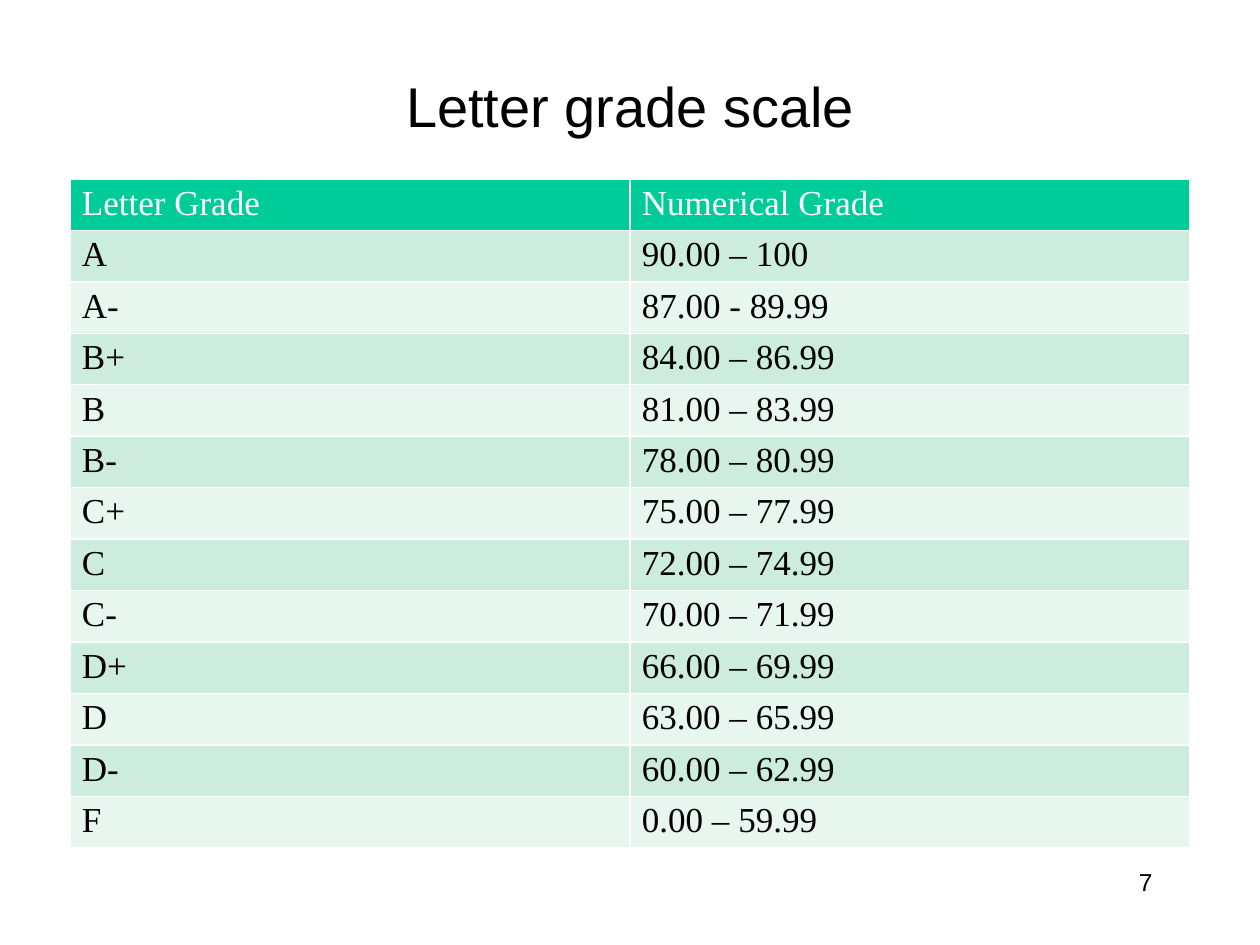
from lxml import etree
from pptx import Presentation
from pptx import util as u
from pptx.dml.color import RGBColor
from pptx.enum import text as t
from pptx.oxml.ns import qn

PX = 914400 / 126
BLACK = RGBColor(0x00, 0x00, 0x00)
WHITE = RGBColor(0xFF, 0xFF, 0xFF)
GREEN = RGBColor(0x00, 0xCC, 0x99)
BANDS = RGBColor(0xCC, 0xEC, 0xDE), RGBColor(0xE7, 0xF6, 0xEF)

TITLE_FONT = {"name": "Arial", "size": u.Pt(32), "color": BLACK}
NUMBER_FONT = {"name": "Arial", "size": u.Pt(14), "color": BLACK}
HEADER_FONT = {"name": "Times New Roman", "size": u.Pt(20), "bold": False, "color": WHITE}
BODY_FONT = {**HEADER_FONT, "color": BLACK}

GRADES = [
    ("Letter Grade", "Numerical Grade"),
    ("A", "90.00 – 100"),
    ("A-", "87.00 - 89.99"),
    ("B+", "84.00 – 86.99"),
    ("B", "81.00 – 83.99"),
    ("B-", "78.00 – 80.99"),
    ("C+", "75.00 – 77.99"),
    ("C", "72.00 – 74.99"),
    ("C-", "70.00 – 71.99"),
    ("D+", "66.00 – 69.99"),
    ("D", "63.00 – 65.99"),
    ("D-", "60.00 – 62.99"),
    ("F", "0.00 – 59.99"),
]


def px(length):
    return u.Emu(round(length * PX))


def write(frame, content, font_format, alignment):
    paragraph = frame.paragraphs[0]
    paragraph.alignment = alignment
    run = paragraph.add_run()
    run.text = content
    for name, value in font_format.items():
        if name == "color":
            run.font.color.rgb = value
        else:
            setattr(run.font, name, value)


def add_borders(cell, color, width):
    properties = cell._tc.get_or_add_tcPr()
    for index, side in enumerate(("lnL", "lnR", "lnT", "lnB")):
        line = etree.Element(qn(f"a:{side}"), w=str(width))
        fill = etree.SubElement(line, qn("a:solidFill"))
        etree.SubElement(fill, qn("a:srgbClr"), val=str(color))
        properties.insert(index, line)  # borders come before the fill


def place_title(slide, box):
    title = slide.shapes.title
    for name, value in zip(("left", "top", "width", "height"), box):
        setattr(title, name, px(value))
    title.text_frame.vertical_anchor = t.MSO_ANCHOR.MIDDLE
    write(title.text_frame, "Letter grade scale", TITLE_FONT, t.PP_ALIGN.CENTER)


def place_grade_table(slide, box):
    left, top, width, height = map(px, box)
    row_count, column_count = len(GRADES), len(GRADES[0])
    table = slide.shapes.add_table(
        row_count, column_count, left, top, width, height).table
    margins = {"margin_left": 12, "margin_right": 12, "margin_top": 5, "margin_bottom": 5}
    for row_index, values in enumerate(GRADES):
        is_header = row_index == 0
        for column_index, value in enumerate(values):
            cell = table.cell(row_index, column_index)
            for name, length in margins.items():
                setattr(cell, name, px(length))
            cell.fill.solid()
            cell.fill.fore_color.rgb = GREEN if is_header else BANDS[(row_index - 1) % 2]
            add_borders(cell, WHITE, u.Pt(1))
            write(cell.text_frame, value,
                  HEADER_FONT if is_header else BODY_FONT, t.PP_ALIGN.LEFT)


def place_slide_number(slide, box):
    frame = slide.shapes.add_textbox(*map(px, box)).text_frame
    frame.word_wrap = True
    write(frame, "7", NUMBER_FONT, t.PP_ALIGN.RIGHT)


def main():
    presentation = Presentation()
    presentation.slide_width = u.Inches(10)
    presentation.slide_height = u.Inches(7.5)
    slide = presentation.slides.add_slide(presentation.slide_layouts[5])

    # Title, grade table, slide number
    place_title(slide, (95, 53, 1071, 105))
    place_grade_table(slide, (70, 179, 1120, 669))
    place_slide_number(slide, (903, 861, 262, 63))

    presentation.save("out.pptx")


if __name__ == "__main__":
    main()
